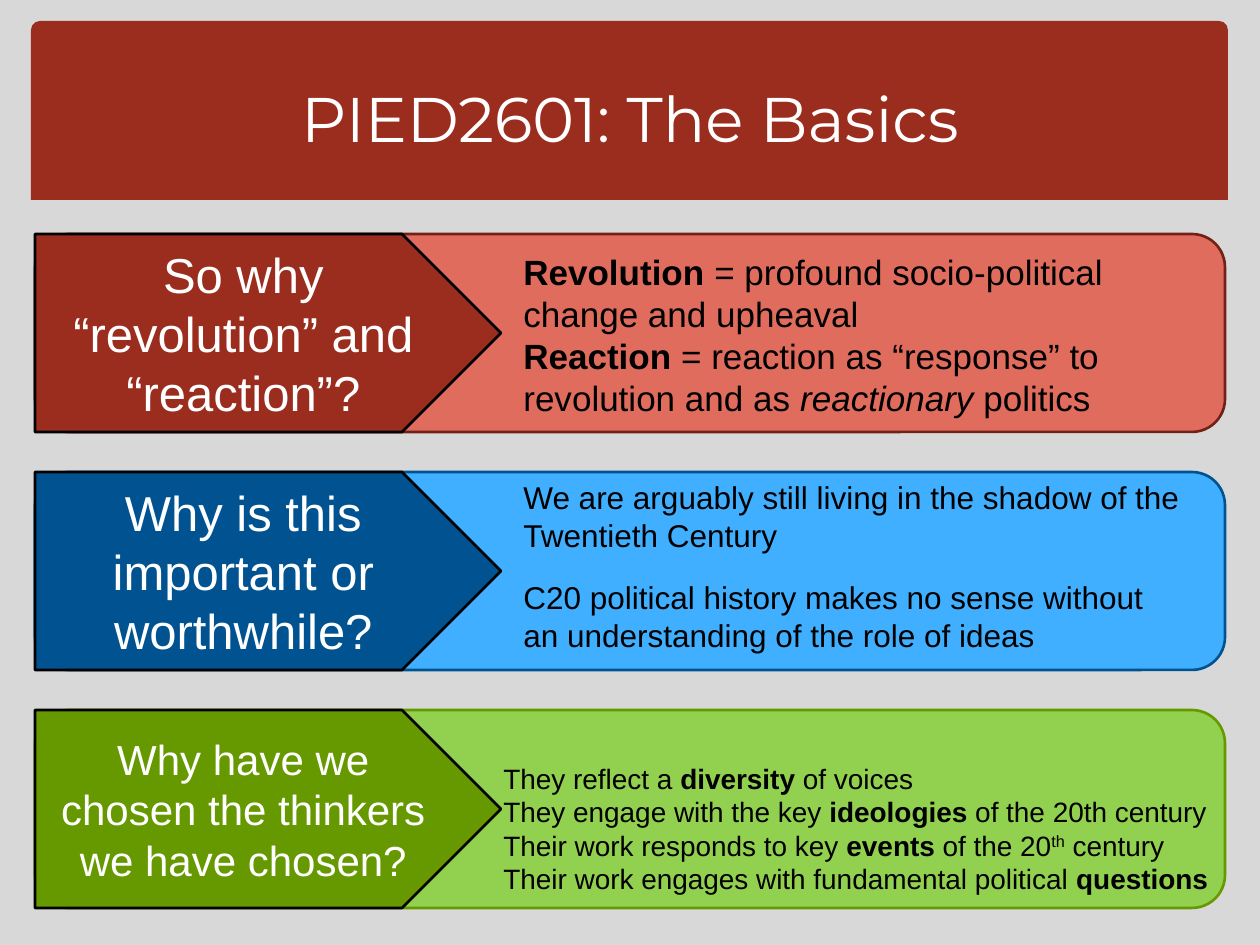
import pptx
import pptx.util
from pptx.dml.color import RGBColor
from pptx.enum.shapes import MSO_SHAPE
from pptx.enum.text import MSO_ANCHOR, MSO_AUTO_SIZE, PP_ALIGN

PX = 914400 / 126

BLACK = RGBColor(0x00, 0x00, 0x00)
WHITE = RGBColor(0xFF, 0xFF, 0xFF)
GREY = RGBColor(0xD8, 0xD8, 0xD8)
BRICK = RGBColor(0x9B, 0x2D, 0x1F)
MAROON = RGBColor(0x73, 0x21, 0x17)
SALMON = RGBColor(0xDF, 0x6C, 0x5D)
NAVY = RGBColor(0x00, 0x53, 0x90)
SKY = RGBColor(0x40, 0xAF, 0xFF)
GREEN = RGBColor(0x66, 0x99, 0x00)
LIME = RGBColor(0x92, 0xD0, 0x50)

LEFT, TOP, PITCH = 35, 234, 238
BAR_W, PLATE_W, ROW_H = 1190, 466, 198

# question, its size, plate fill, bar fill, bar line
ROWS = [
    ("So why “revolution” and “reaction”?", 28, BRICK, SALMON, MAROON),
    ("Why is this important or worthwhile?", 28, NAVY, SKY, NAVY),
    ("Why have we chosen the thinkers we have chosen?", 24, GREEN, LIME, GREEN),
]

# box, size, paragraphs of (text, style) runs
ANSWERS = [
    ((511, 244, 694, 183), 20, [
        [("Revolution", "bold"),
         (" = profound socio-political change and upheaval", "")],
        [("Reaction", "bold"),
         (" = reaction as “response” to revolution and as ", ""),
         ("reactionary ", "italic"), ("politics", "")],
    ]),
    ((511, 472, 684, 89), 18, [
        [("We are arguably still living in the shadow of the Twentieth Century", "")],
    ]),
    ((511, 572, 684, 89), 18, [
        [("C20 political history makes no sense without an understanding "
          "of the role of ideas", "")],
    ]),
    ((491, 755, 753, 147), 16, [
        [("They reflect a ", ""), ("diversity", "bold"), (" of voices", "")],
        [("They engage with the key ", ""), ("ideologies", "bold"),
         (" of the 20th century", "")],
        [("Their work responds to key ", ""), ("events", "bold"),
         (" of the 20", ""), ("th", "super"), (" century", "")],
        [("Their work engages with fundamental political ", ""),
         ("questions", "bold")],
    ]),
]


def px(*lengths):
    """Turn pixel lengths into EMU."""
    return [pptx.util.Emu(round(n * PX)) for n in lengths]


def add_run(p, text, size, color, font="Arial", style=""):
    r = p.add_run()
    r.text = text
    r.font.name = font
    r.font.size = pptx.util.Pt(size)
    r.font.color.rgb = color
    r.font.bold = style == "bold"
    r.font.italic = style == "italic"
    if style == "super":
        r._r.get_or_add_rPr().set("baseline", "30000")


def add_panel(s, kind, box, fill, line=None):
    sp = s.shapes.add_shape(kind, *px(*box))
    sp.shadow.inherit = False
    sp.fill.solid()
    sp.fill.fore_color.rgb = fill
    if line is None:
        sp.line.fill.background()
    else:
        sp.line.color.rgb = line
        sp.line.width = pptx.util.Pt(1.5)
    return sp


def set_centred_text(sp, text, size, font="Arial"):
    tf = sp.text_frame
    tf.word_wrap = True
    tf.vertical_anchor = MSO_ANCHOR.MIDDLE
    p = tf.paragraphs[0]
    p.alignment = PP_ALIGN.CENTER
    add_run(p, text, size, WHITE, font)


def add_header(s):
    banner = add_panel(s, MSO_SHAPE.ROUND_2_SAME_RECTANGLE, (31, 21, 1197, 179), BRICK)
    banner.adjustments[0] = 0.05
    title = s.shapes.title
    title.left, title.top, title.width, title.height = px(42, 38, 1176, 158)
    set_centred_text(title, "PIED2601: The Basics", 36, "Montserrat")
    s.shapes._spTree.append(title._element)  # in front of the banner


def add_row(s, top, question, size, plate_fill, bar_fill, bar_line):
    add_panel(s, MSO_SHAPE.ROUNDED_RECTANGLE, (LEFT, top, BAR_W, ROW_H),
              bar_fill, bar_line)
    plate = add_panel(s, MSO_SHAPE.PENTAGON, (LEFT, top, PLATE_W, ROW_H),
                      plate_fill, BLACK)
    set_centred_text(plate, question, size)


def add_answer(s, box, size, paragraphs):
    tf = s.shapes.add_textbox(*px(*box)).text_frame
    tf.word_wrap = True
    tf.auto_size = MSO_AUTO_SIZE.SHAPE_TO_FIT_TEXT
    for i, runs in enumerate(paragraphs):
        p = tf.add_paragraph() if i else tf.paragraphs[0]
        for text, style in runs:
            add_run(p, text, size, BLACK, style=style)


def main():
    prs = pptx.Presentation()
    prs.slide_width, prs.slide_height = px(1260, 945)
    s = prs.slides.add_slide(prs.slide_layouts[5])
    s.background.fill.solid()
    s.background.fill.fore_color.rgb = GREY
    add_header(s)
    for i, row in enumerate(ROWS):
        add_row(s, TOP + i * PITCH, *row)
    for answer in ANSWERS:
        add_answer(s, *answer)
    prs.save("out.pptx")


if __name__ == "__main__":
    main()
